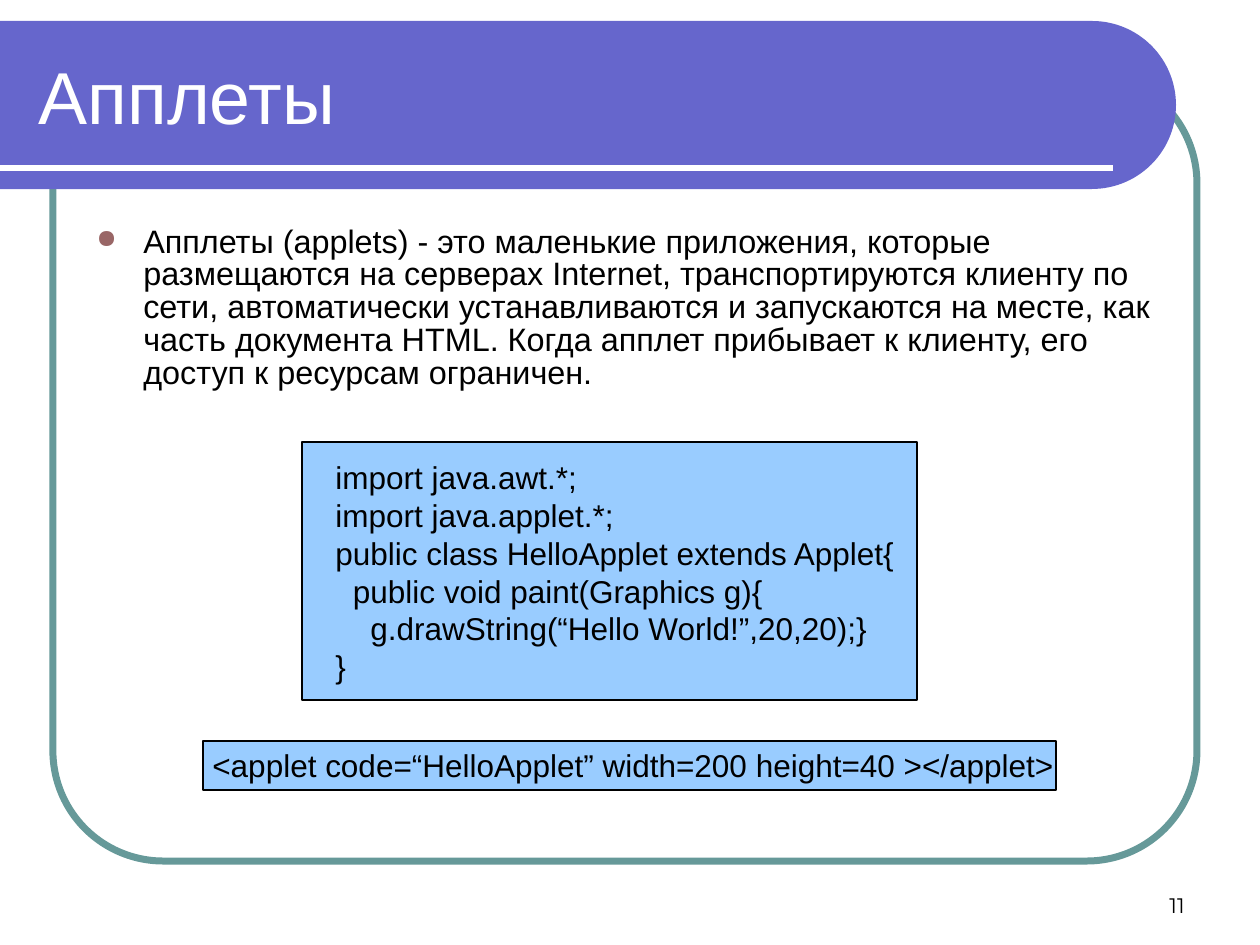
from math import cos, pi, sin

from lxml import etree
from pptx import Presentation
from pptx.dml.color import RGBColor
from pptx.enum.shapes import MSO_CONNECTOR, MSO_SHAPE
from pptx.enum.text import MSO_ANCHOR, PP_ALIGN
from pptx.oxml.ns import qn
from pptx.util import Pt

SCALE = 914400 / 126

WHITE = RGBColor(0xFF, 0xFF, 0xFF)
BLACK = RGBColor(0x00, 0x00, 0x00)
VIOLET = RGBColor(0x66, 0x66, 0xCC)
TEAL = RGBColor(0x66, 0x99, 0x99)
SKY = RGBColor(0x99, 0xCC, 0xFF)

RECT = MSO_SHAPE.RECTANGLE
ROUND = MSO_SHAPE.ROUNDED_RECTANGLE
STRAIGHT = MSO_CONNECTOR.STRAIGHT
TOP, MIDDLE, BOTTOM = MSO_ANCHOR.TOP, MSO_ANCHOR.MIDDLE, MSO_ANCHOR.BOTTOM
LEFT, RIGHT = PP_ALIGN.LEFT, PP_ALIGN.RIGHT

BODY = (
    "Апплеты (applets) - это маленькие приложения, которые размещаются "
    "на серверах Internet, транспортируются клиенту по сети, автоматически "
    "устанавливаются и запускаются на месте, как часть документа HTML. "
    "Когда апплет прибывает к клиенту, его доступ к ресурсам ограничен."
)
CODE = """import java.awt.*;
import java.applet.*;
public class HelloApplet extends Applet{
  public void paint(Graphics g){
    g.drawString(“Hello World!”,20,20);}
}"""
TAG = "<applet code=“HelloApplet” width=200 height=40 ></applet>"


def px(*vals):
    return [round(v * SCALE) for v in vals]


def write(shape, text, size, color=BLACK, font="Arial", align=LEFT,
          anchor=TOP, wrap=True):
    frame = shape.text_frame
    frame.text = text
    frame.word_wrap = wrap
    frame.vertical_anchor = anchor
    for para in frame.paragraphs:
        para.alignment = align
        for run in para.runs:
            run.font.size = Pt(size)
            run.font.name = font
            run.font.color.rgb = color


def add_text(slide, box, text, size, **style):
    shape = slide.shapes.add_textbox(*px(*box))
    write(shape, text, size, **style)
    return shape


def add_box(slide, kind, box, fill, line, width):
    shape = slide.shapes.add_shape(kind, *px(*box))
    shape.shadow.inherit = False
    if fill is None:
        shape.fill.background()
    else:
        shape.fill.solid()
        shape.fill.fore_color.rgb = fill
    shape.line.color.rgb = line
    shape.line.width = Pt(width)
    return shape


def add_band(slide, top, right, height):
    """Title band with a half-round right end."""
    rad, steps = height / 2, 60
    turns = [pi * i / steps - pi / 2 for i in range(steps + 1)]
    arc = [px(right - rad + rad * cos(a), top + rad + rad * sin(a))
           for a in turns]
    pen = slide.shapes.build_freeform(*px(0, top), scale=1.0)
    pen.add_line_segments(arc + [px(0, top + height)], close=True)
    band = pen.convert_to_shape()
    band.shadow.inherit = False
    band.fill.solid()
    band.fill.fore_color.rgb = VIOLET
    band.line.fill.background()


def add_rule(slide, ends, color, width):
    rule = slide.shapes.add_connector(STRAIGHT, *px(*ends))
    rule.line.color.rgb = color
    rule.line.width = Pt(width)
    etree.SubElement(rule._element.spPr, qn("a:effectLst"))


def add_panel(slide, box, area, text):
    add_box(slide, RECT, box, SKY, BLACK, 0.75)
    add_text(slide, area, text, 18, wrap=False)


def add_bullet(para, indent):
    props = para._p.get_or_add_pPr()
    props.set("marL", str(px(indent)[0]))
    props.set("indent", str(px(-indent)[0]))
    color = etree.SubElement(props, qn("a:buClr"))
    etree.SubElement(color, qn("a:srgbClr"), val="996666")
    etree.SubElement(props, qn("a:buSzPct"), val="80000")
    etree.SubElement(props, qn("a:buChar"), char="●")


def main():
    deck = Presentation()
    deck.slide_width, deck.slide_height = px(1260, 945)
    slide = deck.slides.add_slide(deck.slide_layouts[5])

    # Frame, title band and rule
    frame = add_box(slide, ROUND, (53, 73, 1144, 788), None, TEAL, 4)
    frame.adjustments[0] = 0.14
    add_band(slide, 21, 1176, 168)
    add_rule(slide, (0, 168, 1113, 168), WHITE, 3)

    # Title, moved in front of the band
    title = slide.shapes.title
    title.left, title.top, title.width, title.height = px(26, 32, 1105, 126)
    write(title, "Апплеты", 42, color=WHITE, anchor=MIDDLE)
    slide.shapes._spTree.append(title._element)

    # Definition
    body = add_text(slide, (84, 221, 1092, 213), BODY, 18.5)
    para = body.text_frame.paragraphs[0]
    add_bullet(para, 47)
    para.line_spacing = 0.84

    # Code samples
    add_panel(slide, (302, 442, 615, 258), (323, 452, 585, 239), CODE)
    add_panel(slide, (203, 741, 853, 49), (200, 740, 867, 50), TAG)

    # Page number
    add_text(slide, (903, 861, 294, 63), "11", 12, font="Montserrat",
             align=RIGHT, anchor=BOTTOM)

    deck.save("out.pptx")


if __name__ == "__main__":
    main()
